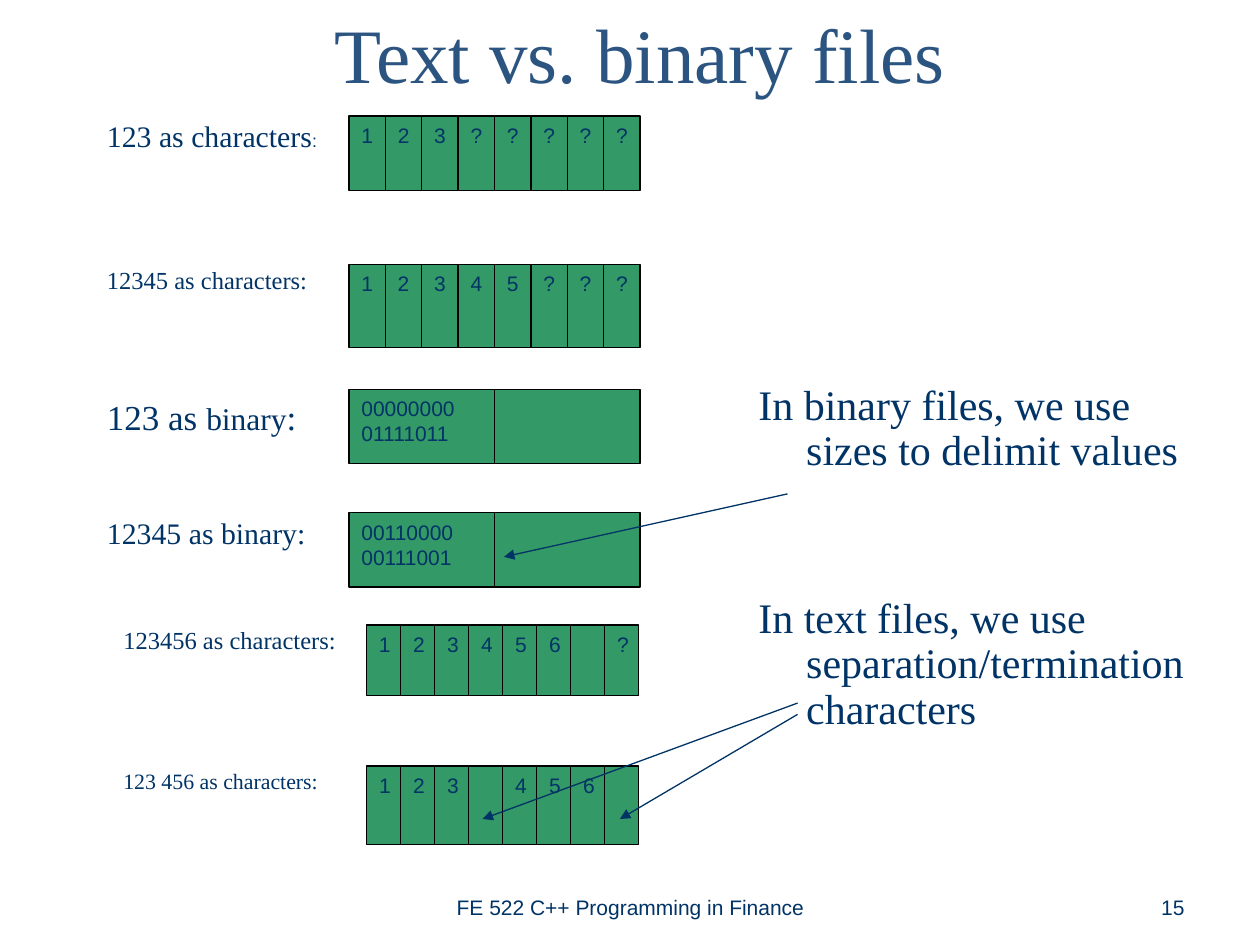
from lxml import etree
from pptx import Presentation
from pptx import util as u
from pptx.dml.color import RGBColor
from pptx.enum import shapes, text
from pptx.oxml.ns import qn

COLORS = {"title": "2B5481", "ink": "003366", "cell": "339966", "border": "000000"}
SERIF, SANS = "Times New Roman", "Arial"


def rgb(name):
    return RGBColor.from_string(COLORS[name])


def write(frame, paragraphs, size=12, font=SANS, color="ink",
          align=text.PP_ALIGN.LEFT, anchor=text.MSO_ANCHOR.TOP,
          spacing=None, gap=0, hanging=0, insets=(0.1, 0.05)):
    frame.word_wrap = True
    frame.auto_size = text.MSO_AUTO_SIZE.NONE
    frame.vertical_anchor = anchor
    frame.margin_left = frame.margin_right = u.Inches(insets[0])
    frame.margin_top = frame.margin_bottom = u.Inches(insets[1])
    for index, runs in enumerate(paragraphs):
        paragraph = frame.add_paragraph() if index else frame.paragraphs[0]
        paragraph.alignment = align
        if spacing:
            paragraph.line_spacing = spacing
        if index and gap:
            paragraph.space_before = u.Pt(gap)
        if hanging:
            properties = paragraph._p.get_or_add_pPr()
            properties.set("marL", str(u.Inches(hanging)))
            properties.set("indent", str(-u.Inches(hanging)))
        if isinstance(runs, str):
            runs = [(runs, size, font)]
        for words, run_size, run_font in runs:
            run = paragraph.add_run()
            run.text = words
            run.font.size = u.Pt(run_size)
            run.font.name = run_font
            run.font.color.rgb = rgb(color)


class Deck:
    def __init__(self):
        self.presentation = Presentation()
        self.presentation.slide_width = u.Inches(10)
        self.presentation.slide_height = u.Inches(7.5)
        self.slide = self.presentation.slides.add_slide(
            self.presentation.slide_layouts[5])

    def title(self, words, left, top, width, height):
        heading = self.slide.shapes.title
        heading.left, heading.top = u.Inches(left), u.Inches(top)
        heading.width, heading.height = u.Inches(width), u.Inches(height)
        write(heading.text_frame, [words], size=44, font=SERIF, color="title",
              align=text.PP_ALIGN.CENTER, anchor=text.MSO_ANCHOR.MIDDLE)

    def label(self, paragraphs, left, top, width, height, **style):
        box = self.slide.shapes.add_textbox(*map(u.Inches, (left, top, width, height)))
        write(box.text_frame, paragraphs, **style)

    def cell(self, lines, left, top, width, height):
        byte = self.slide.shapes.add_shape(
            shapes.MSO_SHAPE.RECTANGLE, *map(u.Inches, (left, top, width, height)))
        byte.shadow.inherit = False
        byte.fill.solid()
        byte.fill.fore_color.rgb = rgb("cell")
        byte.line.color.rgb = rgb("border")
        byte.line.width = u.Pt(0.75)
        if lines:
            write(byte.text_frame, lines)

    def memory(self, cells, left, top, total, height, overlap=0):
        pitch = total / len(cells)
        for index, lines in enumerate(cells):
            extra = overlap if index < len(cells) - 1 else 0
            self.cell(lines, left + index * pitch, top, pitch + extra, height)

    def arrow(self, start, end):
        pointer = self.slide.shapes.add_connector(
            shapes.MSO_CONNECTOR.STRAIGHT, *map(u.Inches, start + end))
        pointer.line.color.rgb = rgb("ink")
        pointer.line.width = u.Pt(0.75)
        etree.SubElement(pointer.line._get_or_add_ln(), qn("a:tailEnd"), type="triangle")
        etree.SubElement(pointer._element.spPr, qn("a:effectLst"))


def characters(symbols):
    return [[symbol] if symbol != " " else [] for symbol in symbols]


def main():
    deck = Deck()
    deck.title("Text vs. binary files", 0.58, -0.33, 9, 1.5)
    deck.label(["In binary files, we use sizes to delimit values",
                "In text files, we use separation/termination characters"],
               5.92, 3, 3.58, 3.37, size=24, font=SERIF, spacing=0.9,
               gap=70, hanging=0.38)

    upper = {"left": 2.77, "total": 2.31}
    lower = {"left": 2.91, "total": 2.16}
    deck.memory(characters("123?????"), top=0.92, height=0.59, **upper)
    deck.memory(characters("12345???"), top=2.1, height=0.66, overlap=0.05, **upper)
    deck.memory([["00000000", "01111011"], []], top=3.09, height=0.59, **upper)
    deck.memory([["00110000", "00111001"], []], top=4.07, height=0.59, **upper)
    deck.memory(characters("123456 ?"), top=4.96, height=0.56, **lower)
    deck.memory(characters("123 456 "), top=6.08, height=0.62, overlap=0.04, **lower)

    captions = [
        ([("123 as characters", 17, SERIF), (":", 10.2, SANS)], 0.75, 0.92, 17, 0.9),
        ("12345 as characters:", 0.75, 2.1, 14, 0.8),
        ([("123 as ", 20, SERIF), ("binary", 18, SERIF), (":", 20, SERIF)],
         0.75, 3.09, 20, None),
        ("12345 as binary:", 0.75, 4.07, 17, 0.9),
        ("123456 as characters:", 0.88, 4.96, 14, 0.8),
        ("123 456 as characters:", 0.88, 6.08, 12.5, 0.8),
    ]
    for caption, left, top, size, spacing in captions:
        deck.label([caption], left, top, 1.89, 0.59,
                   size=size, font=SERIF, spacing=spacing)

    for start, end in [((6.25, 3.92), (4, 4.42)),
                       ((6.33, 5.58), (3.83, 6.5)),
                       ((6.33, 5.67), (4.92, 6.5))]:
        deck.arrow(start, end)

    deck.label(["FE 522 C++ Programming in Finance"], 3.42, 6.83, 3.17, 0.52,
               align=text.PP_ALIGN.CENTER, anchor=text.MSO_ANCHOR.BOTTOM)
    deck.label(["15"], 7.17, 6.83, 2.33, 0.52,
               align=text.PP_ALIGN.RIGHT, anchor=text.MSO_ANCHOR.BOTTOM)
    deck.presentation.save("out.pptx")


if __name__ == "__main__":
    main()
